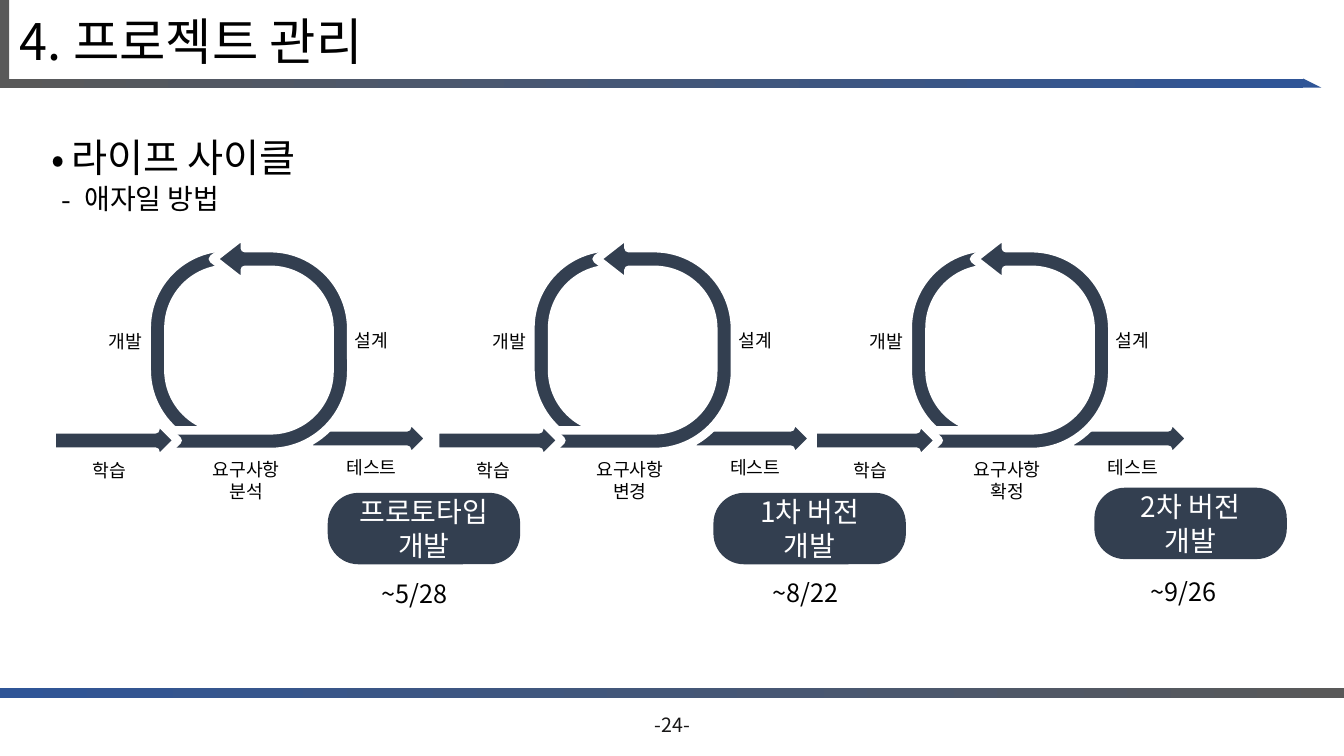
from dataclasses import dataclass

import pptx
import pptx.dml.color
import pptx.enum.shapes
import pptx.enum.text
import pptx.oxml.ns
import pptx.util
from lxml import etree

Cm = pptx.util.Cm
Pt = pptx.util.Pt
RGB = pptx.dml.color.RGBColor.from_string
MSO = pptx.enum.shapes.MSO_SHAPE
ALIGN = pptx.enum.text.PP_ALIGN
ANCHOR = pptx.enum.text.MSO_ANCHOR
qn = pptx.oxml.ns.qn


@dataclass(frozen=True)
class Theme:
    font: str = "Noto Sans CJK KR"
    ink: str = "000000"
    page: str = "181717"
    navy: str = "333F50"
    gray: str = "595959"
    blue: str = "2F5597"
    white: str = "FFFFFF"
    title: int = 36
    heading: int = 28
    sub: int = 20
    date: int = 18
    number: int = 14
    label: int = 13


T = Theme()
UTURN = (0.117, 0.135, 0.173, 0.438, 0.75)
CYCLES = [(0, "분석"), (9.67, "변경"), (19.18, "확정")]
RELEASES = [
    ("프로토타입 개발", 8.26, 12.42, "~5/28", 9.37, 14.45),
    ("1차 버전 개발", 17.98, 12.42, "~8/22", 19.23, 14.43),
    ("2차 버전 개발", 27.58, 12.29, "~9/26", 28.75, 14.4),
]


def write(p, text, size, color=T.ink, align=ALIGN.LEFT, bullet=None, indent=0, hang=0,
          before=0, spacing=None):
    if bullet:
        pPr = p._p.get_or_add_pPr()
        pPr.set("marL", str(Cm(indent)))
        pPr.set("indent", str(-Cm(hang)))
        etree.SubElement(pPr, qn("a:buFont"), typeface=T.font)
        etree.SubElement(pPr, qn("a:buChar"), char=bullet)
    p.alignment = align
    p.space_before = Pt(before)
    if spacing:
        p.line_spacing = spacing
    r = p.add_run()
    r.text = text
    r.font.size = Pt(size)
    r.font.color.rgb = RGB(color)
    r.font.name = T.font
    etree.SubElement(r.font._element, qn("a:ea"), typeface=T.font)


def place(sp, x, y, w, h):
    sp.left, sp.top, sp.width, sp.height = Cm(x), Cm(y), Cm(w), Cm(h)


def add_shape(shapes, kind, x, y, w, h, fill, line=None, adj=(), rot=0, flip=False):
    sp = shapes.add_shape(kind, Cm(x), Cm(y), Cm(w), Cm(h))
    sp.shadow.inherit = False
    sp.fill.solid()
    sp.fill.fore_color.rgb = RGB(fill)
    if line:
        sp.line.color.rgb = RGB(line)
        sp.line.width = Pt(6)
    else:
        sp.line.fill.background()
    for i, value in enumerate(adj):
        sp.adjustments[i] = value
    sp.rotation = rot
    if flip:
        sp.element.spPr.find(qn("a:xfrm")).set("flipV", "1")
    return sp


def add_gradient_bar(shapes, x, y, w, h, start, end):
    sp = add_shape(shapes, MSO.RECTANGLE, x, y, w, h, start)
    sp.fill.gradient()
    sp.fill.gradient_angle = 0
    for stop, color in zip(sp.fill.gradient_stops, (start, end)):
        stop.color.rgb = RGB(color)


def add_text(shapes, text, x, y, w, h, size, fill=None, anchor=ANCHOR.TOP, **fmt):
    sp = shapes.add_textbox(Cm(x), Cm(y), Cm(w), Cm(h))
    if fill:
        sp.fill.solid()
        sp.fill.fore_color.rgb = RGB(fill)
    tf = sp.text_frame
    tf.word_wrap = True
    tf.vertical_anchor = anchor
    for i, line in enumerate(text.split("\n")):
        write(tf.add_paragraph() if i else tf.paragraphs[0], line, size, **fmt)


def add_frame(shapes):
    add_gradient_bar(shapes, 0, 1.98, 32.84, 0.23, T.gray, T.blue)
    add_shape(shapes, MSO.RECTANGLE, 0, 0, 0.23, 2.21, T.gray)
    add_shape(shapes, MSO.RIGHT_TRIANGLE, 32.84, 1.98, 0.46, 0.23, T.blue)
    add_gradient_bar(shapes, 0, 17.35, 33.87, 0.23, T.blue, T.gray)
    add_text(shapes, "-24-", 13.13, 17.75, 7.62, 1.02, T.number, color=T.page,
             align=ALIGN.CENTER, anchor=ANCHOR.MIDDLE)


def add_cycle(shapes, dx, goal):
    g = shapes.add_group_shape().shapes

    def arrow(kind, x, y, w, h, **kw):
        add_shape(g, kind, x + dx, y, w, h, T.navy, line=T.white, **kw)

    def label(text, x, y, w=2.21, h=0.81, fill=None):
        add_text(g, text, x + dx, y, w, h, T.label, fill=fill, align=ALIGN.CENTER)

    arrow(MSO.RIGHT_ARROW, 6.86, 10.49, 3.96, 1.12)
    arrow(MSO.U_TURN_ARROW, 3.28, 6.65, 5.49, 4.65, adj=UTURN, rot=90, flip=True)
    for x, y in ((5.99, 10.26), (6.43, 5.89)):
        add_shape(g, MSO.RECTANGLE, x + dx, y, 1.9, 1.27, T.white)
    arrow(MSO.U_TURN_ARROW, 3.78, 6.32, 5.49, 4.65, adj=UTURN, rot=270, flip=True)
    arrow(MSO.RIGHT_ARROW, 1.3, 10.54, 3.18, 1.12)
    label("개발", 2.06, 8.2)
    label("학습", 1.65, 11.46, fill=T.white)
    label("요구사항\n" + goal, 4.55, 11.43, 3.3, 1.37, fill=T.white)
    label("테스트", 8.26, 11.38)
    label("설계", 8.26, 8.18)


def add_release(shapes, name, x, y, date, date_x, date_y):
    sp = add_shape(shapes, MSO.ROUNDED_RECTANGLE, x, y, 4.85, 1.8, T.navy, adj=(0.429,))
    tf = sp.text_frame
    tf.word_wrap = True
    tf.vertical_anchor = ANCHOR.MIDDLE
    write(tf.paragraphs[0], name, T.sub, color=T.white, align=ALIGN.CENTER)
    add_text(shapes, date, date_x, date_y, 2.51, 1.02, T.date)


def fill_placeholders(s):
    title, body = s.shapes.title, s.placeholders[1]
    place(title, 0.25, 0.1, 27.28, 2.03)
    place(body, 1.04, 3.23, 15.93, 2.6)
    for sp, anchor in ((title, ANCHOR.MIDDLE), (body, ANCHOR.TOP)):
        sp.text_frame.auto_size = pptx.enum.text.MSO_AUTO_SIZE.NONE
        sp.text_frame.vertical_anchor = anchor
    write(title.text_frame.paragraphs[0], "4. 프로젝트 관리", T.title, spacing=0.9)
    tf = body.text_frame
    write(tf.paragraphs[0], "라이프 사이클", T.heading, bullet="•", indent=0.5, hang=0.5)
    write(tf.add_paragraph(), "애자일 방법", T.sub, bullet="-", indent=0.83, hang=0.57,
          before=1)


def main():
    prs = pptx.Presentation()
    prs.slide_width, prs.slide_height = Cm(33.87), Cm(19.05)
    s = prs.slides.add_slide(prs.slide_layouts[1])
    fill_placeholders(s)
    add_frame(s.shapes)
    for dx, goal in CYCLES:
        add_cycle(s.shapes, dx, goal)
    for release in RELEASES:
        add_release(s.shapes, *release)
    prs.save("out.pptx")


if __name__ == "__main__":
    main()
